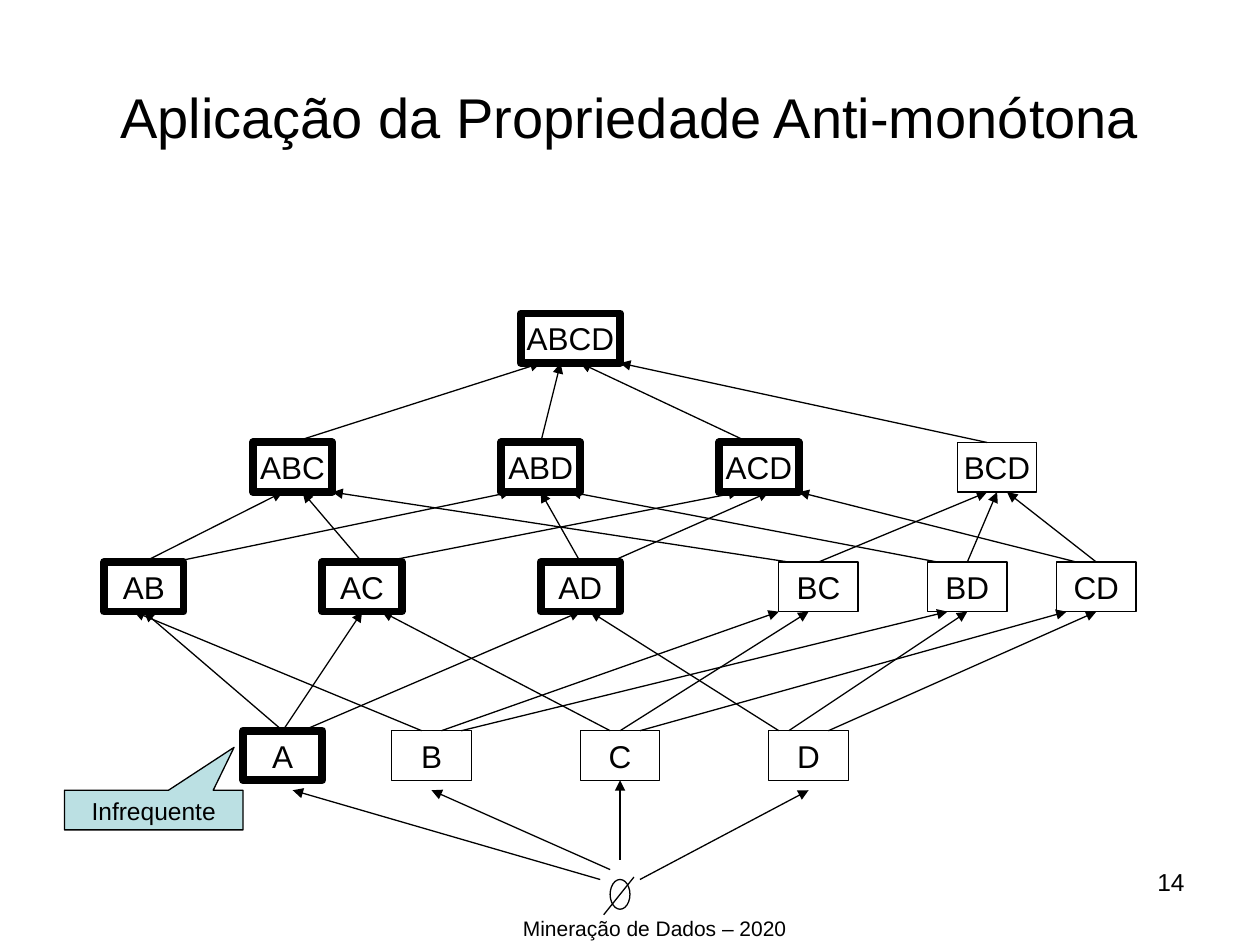
"""Build the itemset lattice slide on the anti-monotone property."""
from lxml import etree
from pptx import Presentation
from pptx import util as u
from pptx.dml.color import RGBColor
from pptx.enum import shapes, text
from pptx.oxml.ns import qn

COLORS = {"ink": "000000", "paper": "FFFFFF", "note": "BBE0E3"}
FONT = "Arial"
TITLE = "Aplicação da Propriedade Anti-monótona"
FOOTER = "Mineração de Dados – 2020"
PAGE = "14"
NOTE = "Infrequente"

ITEM_WIDTH, ITEM_HEIGHT = 1.6, 1.0
THIN, THICK = 0.75, 4.5
LEVELS = [
    (14.73, {"A": 4.9, "B": 7.9, "C": 11.7, "D": 15.5}),
    (11.33, {"AB": 2.1, "AC": 6.5, "AD": 10.9, "BC": 15.7, "BD": 18.7, "CD": 21.3}),
    (8.92, {"ABC": 5.1, "ABD": 10.1, "ACD": 14.5, "BCD": 19.3}),
    (6.32, {"ABCD": 10.5}),
]
# Horizontal start and end of each arrow, from one level up to the next
ARROWS = [
    [(5.7, 2.9), (5.7, 7.3), (6.1, 11.7), (8.5, 2.7), (8.9, 15.7), (9.3, 19.1),
     (12.3, 7.7), (12.5, 16.3), (12.9, 21.5), (15.7, 11.9), (15.9, 19.5), (16.7, 22.1)],
    [(2.9, 5.7), (3.5, 10.3), (7.3, 6.1), (7.7, 14.9), (11.7, 10.9), (12.3, 15.5),
     (15.9, 6.7), (16.5, 19.9), (18.9, 11.5), (19.5, 20.1), (21.7, 16.1), (22.1, 20.3)],
    [(5.9, 10.9), (10.9, 11.3), (15.1, 11.7), (19.9, 12.5)],
]
EMPTY_SET_ARROWS = [
    (12.1, 17.73, 5.9, 15.93), (12.3, 17.53, 8.7, 15.93),
    (12.5, 17.33, 12.5, 15.73), (12.9, 17.73, 16.3, 15.93),
]


def color(name):
    return RGBColor.from_string(COLORS[name])


def write(shape, content, size=18, align="CENTER", anchor="TOP", wrap=True):
    frame = shape.text_frame
    frame.word_wrap = wrap
    frame.vertical_anchor = getattr(text.MSO_ANCHOR, anchor)
    paragraph = frame.paragraphs[0]
    paragraph.alignment = getattr(text.PP_ALIGN, align)
    run = paragraph.add_run()
    run.text = content
    run.font.name, run.font.size = FONT, u.Pt(size)
    run.font.color.rgb = color("ink")


def add_outlined(slide, kind, box, fill="paper", weight=THIN):
    shape = slide.shapes.add_shape(kind, *map(u.Cm, box))
    shape.shadow.inherit = False
    shape.fill.solid()
    shape.fill.fore_color.rgb = color(fill)
    shape.line.color.rgb = color("ink")
    shape.line.width = u.Pt(weight)
    return shape


def add_line(slide, ends, arrow=True):
    line = slide.shapes.add_connector(shapes.MSO_CONNECTOR.STRAIGHT, *map(u.Cm, ends))
    line.line.color.rgb = color("ink")
    line.line.width = u.Pt(THIN)
    if arrow:
        etree.SubElement(line.line._get_or_add_ln(), qn("a:tailEnd"), type="triangle")
    etree.SubElement(line._element.spPr, qn("a:effectLst"))


def add_lattice(slide):
    for top, items in LEVELS:
        for item, left in items.items():
            width = 2.0 if item == "ABCD" else ITEM_WIDTH
            node = add_outlined(slide, shapes.MSO_SHAPE.RECTANGLE,
                                (left, top, width, ITEM_HEIGHT),
                                weight=THICK if "A" in item else THIN)
            write(node, item, anchor="MIDDLE", wrap=False)
    for (lower, _), (upper, _), arrows in zip(LEVELS, LEVELS[1:], ARROWS):
        for start, end in arrows:
            add_line(slide, (start, lower, end, upper + ITEM_HEIGHT))


def add_empty_set(slide):
    add_outlined(slide, shapes.MSO_SHAPE.OVAL, (12.3, 17.73, 0.4, 0.6))
    add_line(slide, (12.17, 18.44, 12.78, 17.68), arrow=False)
    for ends in EMPTY_SET_ARROWS:
        add_line(slide, ends)


def main():
    deck = Presentation()
    deck.slide_width, deck.slide_height = u.Cm(25.4), u.Cm(19.05)
    slide = deck.slides.add_slide(deck.slide_layouts[5])

    title = slide.shapes.title
    title.left, title.top, title.width, title.height = map(u.Cm, (1.27, 0.76, 22.86, 3.18))
    write(title, TITLE, size=32, anchor="MIDDLE")

    add_lattice(slide)
    add_empty_set(slide)

    note = add_outlined(slide, shapes.MSO_SHAPE.RECTANGULAR_CALLOUT,
                        (1.3, 15.93, 3.6, 0.8), fill="note")
    note.adjustments[0], note.adjustments[1] = 0.45, -1.58
    write(note, NOTE, size=14)

    page = slide.shapes.add_textbox(*map(u.Cm, (18.2, 17.35, 5.93, 1.32)))
    write(page, PAGE, size=14, align="RIGHT")
    footer = slide.shapes.add_textbox(*map(u.Cm, (6.1, 18.34, 14.2, 0.58)))
    write(footer, FOOTER, size=12)

    deck.save("out.pptx")


if __name__ == "__main__":
    main()
